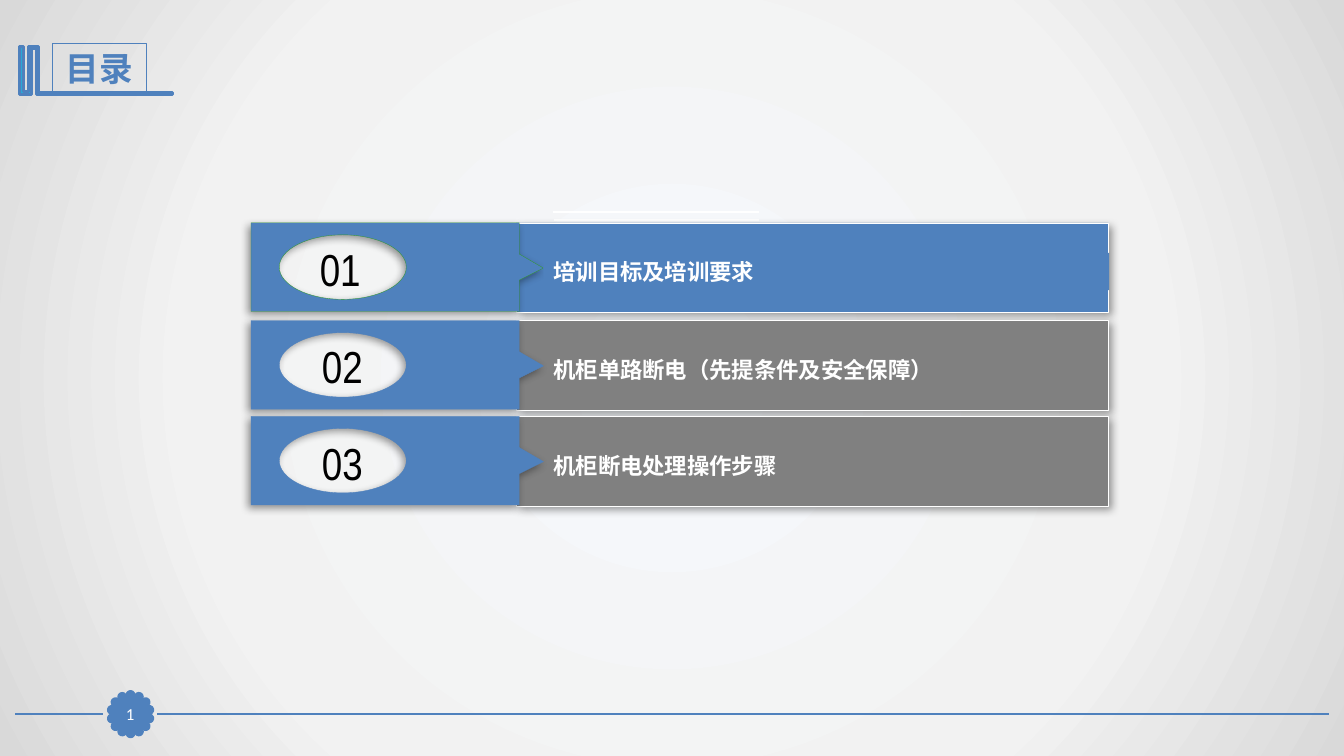
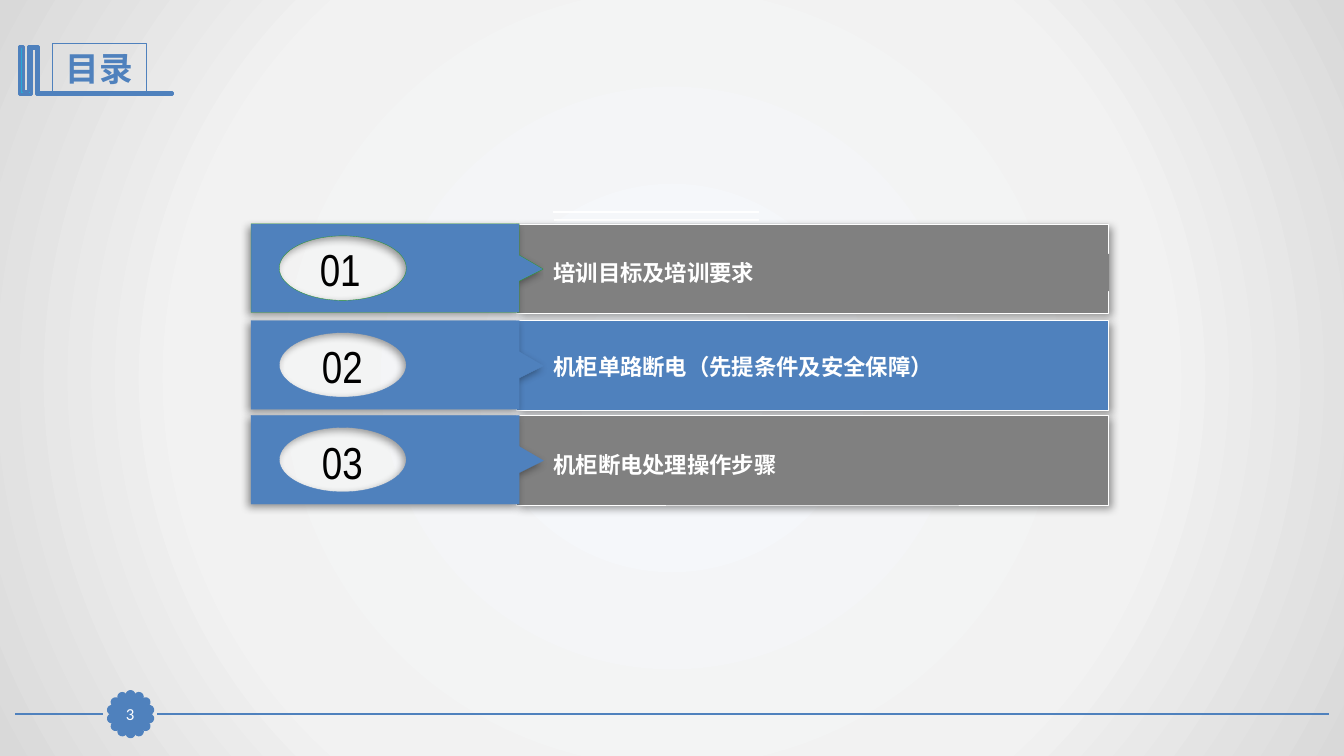
from math import cos, pi, sin

from lxml import etree
from pptx import Presentation
from pptx.dml.color import RGBColor
from pptx.enum.shapes import MSO_CONNECTOR, MSO_SHAPE
from pptx.enum.text import MSO_ANCHOR as ANCHOR, MSO_AUTO_SIZE as FIT, PP_ALIGN as ALIGN
from pptx.oxml import parse_xml
from pptx.oxml.ns import nsdecls, qn
from pptx.util import Pt

PX = 9144  # EMU per px, 100 px to the inch
SLIDE_W, SLIDE_H = 1333, 750

BLUE = RGBColor(0x4F, 0x81, 0xBD)
CYAN = RGBColor(0x28, 0xA9, 0xD6)
GREEN = RGBColor(0x33, 0x99, 0x33)
GRAY = RGBColor(0x80, 0x80, 0x80)
WHITE = RGBColor(0xFF, 0xFF, 0xFF)
BLACK = RGBColor(0x00, 0x00, 0x00)
BACKDROP = [(0, "F6F9FC"), (63, "F2F2F2"), (100, "D9D9D9")]
HEAD_FONT, BODY_FONT = "Arial Narrow", "Calibri"

# Content
TITLE = "目录"
CHAPTERS = [  # number, its left and width, heading, tag outline, heading filled
    ("01", 291, 93, "培训目标及培训要求", GREEN, True),
    ("02", 289, 101, "机柜单路断电（先提条件及安全保障）", BLUE, False),
    ("03", 289, 101, "机柜断电处理操作步骤", BLUE, False),
]
AGENDAS = [  # per chapter: tops of the row, number and heading
    dict(page="1", current=0, tops=[(221, 234, 251), (318, 331, 348), (413, 427, 444)]),
    dict(page="3", current=1, tops=[(222, 234, 252), (318, 331, 345), (412, 426, 443)]),
]

# Geometry
ROW_H = 89
BAR_LEFT, BAR_W = 512, 587
HEADING_LEFT, HEADING_W, HEADING_H = 539, 561, 37
TAG = [(249, 0), (515, 0), (515, 31), (539, 45), (515, 57), (515, 88), (249, 88)]
HOLE_X, HOLE_Y, HOLE_RX, HOLE_RY = 340, 44, 63, 32
HOLE = [(HOLE_X, HOLE_Y - HOLE_RY), (HOLE_X - HOLE_RX, HOLE_Y), (HOLE_X, HOLE_Y + HOLE_RY),
        (HOLE_X + HOLE_RX, HOLE_Y), (HOLE_X, HOLE_Y - HOLE_RY)]
ARC = 0.55  # handle length of a quarter ellipse
BOOKS = [(37, 46), (38, 46), (38, 92), (171, 92), (171, 94), (37, 94), (36, 94), (36, 48),
         (31, 48), (31, 94), (19, 94), (19, 46), (23, 46), (23, 91), (28, 91), (28, 46)]
PETALS, PETAL_LEFT, PETAL_TOP, PETAL_SIZE, PETAL_ORBIT = 14, 126, 705, 7, 19
FOOTER_Y = 708


def emu(*lengths):
    return [round(length * PX) for length in lengths]


def paint(shape, fill=None, line=None, width=0.25, shadow=None):
    shape.shadow.inherit = False
    if fill is None:
        shape.fill.background()
    else:
        shape.fill.solid()
        shape.fill.fore_color.rgb = fill
    if line is None:
        shape.line.fill.background()
    else:
        shape.line.color.rgb = line
        shape.line.width = Pt(width)
    if shadow is not None:
        shape._element.spPr.find(qn("a:effectLst")).append(parse_xml(
            f'<a:outerShdw {nsdecls("a")} blurRad="{Pt(6)}" dist="{Pt(3)}" '
            f'dir="{shadow * 60000}" algn="ctr" rotWithShape="0">'
            '<a:srgbClr val="000000"><a:alpha val="40000"/></a:srgbClr></a:outerShdw>'))
    return shape


def add_box(slide, box, preset=MSO_SHAPE.RECTANGLE, **style):
    return paint(slide.shapes.add_shape(preset, *emu(*box)), **style)


def add_outline(slide, contours, **style):
    builder = None
    for contour in contours:
        start, *rest = [emu(*point) for point in contour]
        if builder is None:
            builder = slide.shapes.build_freeform(*start, scale=1)
        else:
            builder.move_to(*start)
        builder.add_line_segments(rest, close=contour[0] != contour[-1])
    return paint(builder.convert_to_shape(), **style)


def round_hole(tag):
    """Bend the first four segments of the tag's outline into quarter ellipses."""
    outline = next(tag._element.iter(qn("a:path")))
    steps = list(outline)[:len(HOLE)]
    points = [(int(pt.get("x")), int(pt.get("y")))
              for step in steps for pt in step.iter(qn("a:pt"))]
    center = (points[0][0], points[1][1])
    for step, start, end in zip(steps[1:], points, points[1:]):
        handles = [[round(a + ARC * (b - c)) for a, b, c in zip(near, far, center)]
                   for near, far in ((start, end), (end, start))]
        curve = etree.Element(qn("a:cubicBezTo"))
        for x, y in [*handles, end]:
            etree.SubElement(curve, qn("a:pt"), x=str(x), y=str(y))
        outline.replace(step, curve)
    outline.insert(len(HOLE), etree.Element(qn("a:close")))


def add_line(slide, x1, x2, y, color, width):
    line = slide.shapes.add_connector(MSO_CONNECTOR.STRAIGHT, *emu(x1, y, x2, y))
    line.line.color.rgb = color
    line.line.width = Pt(width)
    etree.SubElement(line._element.spPr, qn("a:effectLst"))


def write(shape, text, size, font=BODY_FONT, color=WHITE, bold=False,
          align=ALIGN.CENTER, anchor=ANCHOR.MIDDLE, inset=None, fit=FIT.SHAPE_TO_FIT_TEXT):
    frame = shape.text_frame
    frame.word_wrap = True
    frame.auto_size = fit
    frame.vertical_anchor = anchor
    if inset is not None:
        frame.margin_left = frame.margin_right = inset
        frame.margin_top = frame.margin_bottom = inset
    paragraph = frame.paragraphs[0]
    paragraph.alignment = align
    run = paragraph.add_run()
    run.text = text
    run.font.size, run.font.name, run.font.bold = Pt(size), font, bold
    run.font.color.rgb = color


def set_backdrop(master):
    master.background.fill.gradient()
    gradient = master.element.find(f'.//{qn("p:bgPr")}/{qn("a:gradFill")}')
    stops = "".join(f'<a:gs pos="{pos * 1000}"><a:srgbClr val="{color}"/></a:gs>'
                    for pos, color in BACKDROP)
    gradient.getparent().replace(gradient, parse_xml(
        f'<a:gradFill {nsdecls("a")} rotWithShape="1"><a:gsLst>{stops}</a:gsLst>'
        '<a:path path="circle"><a:fillToRect l="50000" t="50000" r="50000" b="50000"/>'
        '</a:path></a:gradFill>'))


def add_frame(slide, page):
    # Footer rule and scalloped page badge
    for x1, x2 in [(1318, 156), (102, 15)]:
        add_line(slide, x1, x2, FOOTER_Y, BLUE, 1.25)
    for i in range(PETALS):
        angle = 2 * pi * i / PETALS
        petal = add_box(slide, (PETAL_LEFT + PETAL_ORBIT * sin(angle),
                                PETAL_TOP - PETAL_ORBIT * cos(angle), PETAL_SIZE, PETAL_SIZE),
                        MSO_SHAPE.OVAL, fill=BLUE, line=BLUE, width=2)
        petal.rotation = round(360 * i / PETALS, 1)
    # Title with book outline
    add_outline(slide, [BOOKS], fill=CYAN, line=BLUE, width=2)
    title = add_box(slide, (52, 43, 93, 50), line=BLUE, width=0.75)
    write(title, TITLE, 24, HEAD_FONT, BLUE, bold=True)
    badge = add_box(slide, (113, 693, 32, 31), fill=BLUE, line=BLUE, width=0.75)
    write(badge, page, 12, inset=0, fit=FIT.NONE)


def add_chapter(slide, chapter, tops, is_current):
    number, number_left, number_w, heading, outline, is_filled = chapter
    top, number_top, heading_top = tops
    bar_color = BLUE if is_current else GRAY
    add_box(slide, (BAR_LEFT, top, BAR_W, ROW_H), fill=bar_color, line=WHITE, shadow=45)
    tag = add_outline(slide, [[(x, top + y) for x, y in contour] for contour in (HOLE, TAG)],
                      fill=BLUE, line=outline, shadow=135)
    round_hole(tag)
    heading_area = (HEADING_LEFT, heading_top, HEADING_W, HEADING_H)
    if is_filled:
        heading_box = add_box(slide, heading_area, fill=bar_color)
    else:
        heading_box = slide.shapes.add_textbox(*emu(*heading_area))
    write(heading_box, heading, 16, bold=True, align=ALIGN.LEFT, anchor=ANCHOR.TOP)
    number_box = slide.shapes.add_textbox(*emu(number_left, number_top, number_w, 64))
    write(number_box, number, 32, HEAD_FONT, BLACK)


def main():
    prs = Presentation()
    prs.slide_width, prs.slide_height = emu(SLIDE_W, SLIDE_H)
    set_backdrop(prs.slide_master)
    for agenda in AGENDAS:
        slide = prs.slides.add_slide(prs.slide_layouts[6])
        add_frame(slide, agenda["page"])
        for x, y in [(548, 210), (549, 218)]:
            add_line(slide, x, 753, y, WHITE, 1.5)
        for i, (chapter, tops) in enumerate(zip(CHAPTERS, agenda["tops"])):
            add_chapter(slide, chapter, tops, i == agenda["current"])
    prs.save("out.pptx")


if __name__ == "__main__":
    main()
